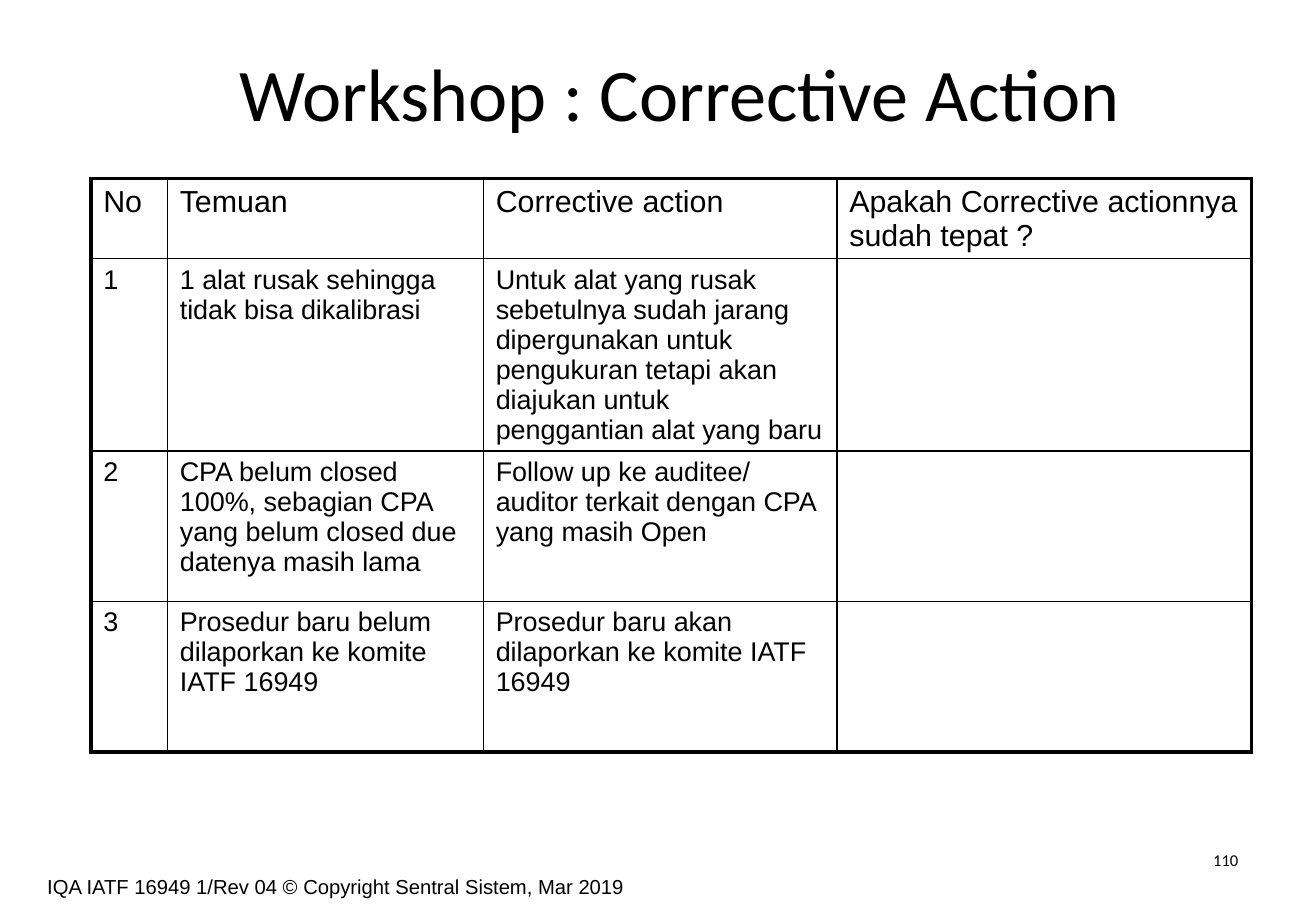
from lxml import etree
from pptx import Presentation
from pptx import util as u
from pptx.dml.color import RGBColor
from pptx.enum import text
from pptx.oxml import ns

TITLE = "Workshop : Corrective Action "
FOOTER = "IQA IATF 16949 1/Rev 04 © Copyright Sentral Sistem, Mar 2019"
PAGE_NUMBER = "110"
ROWS = [
    ("No", "Temuan", "Corrective action", "Apakah Corrective actionnya sudah tepat ?"),
    ("1", "1 alat rusak sehingga tidak bisa dikalibrasi",
     "Untuk alat yang rusak sebetulnya sudah jarang dipergunakan untuk pengukuran "
     "tetapi akan diajukan untuk penggantian alat yang baru", ""),
    ("2", "CPA belum closed 100%, sebagian CPA yang belum closed due datenya masih lama",
     "Follow up ke auditee/ auditor terkait dengan CPA yang masih Open", ""),
    ("3", "Prosedur baru belum dilaporkan ke komite IATF 16949",
     "Prosedur baru akan dilaporkan ke komite IATF 16949", ""),
]
COLUMN_WIDTHS = [0.63, 2.6, 2.91, 3.41]
ROW_HEIGHTS = [0.65, 1.58, 1.24, 1.24]
BLACK = "000000"
THICK, THIN = 2.25, 1


def color(value):
    return RGBColor.from_string(value)


def write(frame, words, size, name, align=text.PP_ALIGN.LEFT):
    para = frame.paragraphs[0]
    para.alignment = align
    span = para.add_run()
    span.text = words
    for key, value in {"size": u.Pt(size), "name": name}.items():
        setattr(span.font, key, value)
    span.font.color.rgb = color(BLACK)


def add_label(page, place, words, size, name, align=text.PP_ALIGN.LEFT):
    box = page.shapes.add_textbox(*map(u.Inches, place))
    box.text_frame.word_wrap = True
    write(box.text_frame, words, size, name, align)


def set_borders(cell, widths):
    """Draw the cell's sides; border elements go before the fill."""
    properties = cell._tc.get_or_add_tcPr()
    for index, (side, width) in enumerate(widths.items()):
        line = etree.Element(ns.qn(f"a:ln{side}"), w=str(u.Pt(width)))
        fill = etree.SubElement(line, ns.qn("a:solidFill"))
        etree.SubElement(fill, ns.qn("a:srgbClr"), val=BLACK)
        properties.insert(index, line)


deck = Presentation()
deck.slide_width, deck.slide_height = u.Inches(10.83), u.Inches(7.5)
page = deck.slides.add_slide(deck.slide_layouts[5])

# Title
title = page.shapes.title
title_place = {"left": 0.79, "top": 0.13, "width": 9.75, "height": 1.25}
for key, value in title_place.items():
    setattr(title, key, u.Inches(value))
title.text_frame.vertical_anchor = text.MSO_ANCHOR.MIDDLE
write(title.text_frame, TITLE, 44, "Calibri", text.PP_ALIGN.CENTER)

# Findings table
last_row, last_column = len(ROWS) - 1, len(COLUMN_WIDTHS) - 1
table = page.shapes.add_table(
    len(ROWS), len(COLUMN_WIDTHS), u.Inches(0.75), u.Inches(1.47),
    u.Inches(sum(COLUMN_WIDTHS)), u.Inches(sum(ROW_HEIGHTS))).table
table.first_row = table.horz_banding = False
for column, width in zip(table.columns, COLUMN_WIDTHS):
    column.width = u.Inches(width)
for row, height in zip(table.rows, ROW_HEIGHTS):
    row.height = u.Inches(height)
for r, words_in_row in enumerate(ROWS):
    for c, words in enumerate(words_in_row):
        cell = table.cell(r, c)
        cell.fill.background()
        set_borders(cell, {
            "L": THICK if c == 0 else THIN,
            "R": THICK if c == last_column else THIN,
            "T": THICK if r == 0 else THIN,
            "B": THICK if r == last_row else THIN,
        })
        if words:
            write(cell.text_frame, words, 18 if r == 0 else 16, "Arial")

# Footer and page number
add_label(page, (0.29, 7.15, 5.99, 0.4), FOOTER, 12, "Arial")
add_label(page, (7.76, 6.95, 2.53, 0.4), PAGE_NUMBER, 9.8, "Calibri", text.PP_ALIGN.RIGHT)

deck.save("out.pptx")
